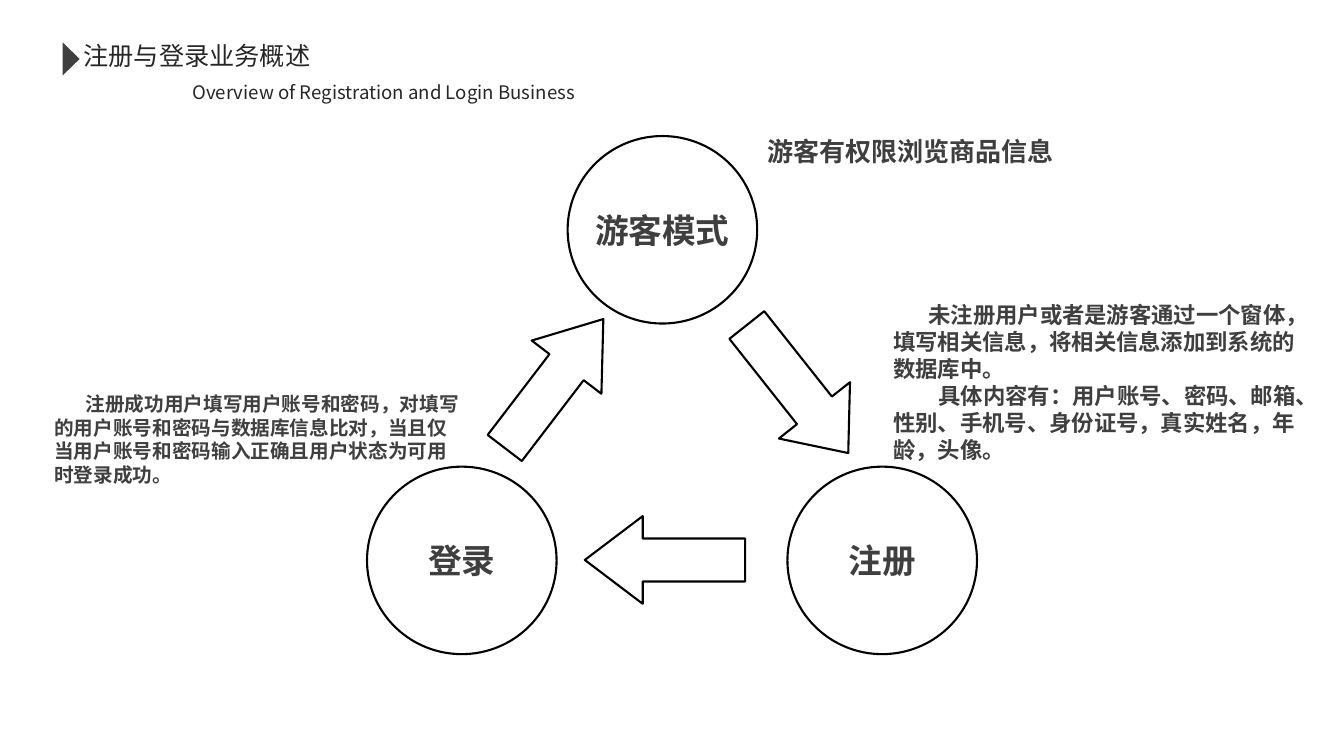
"""Build the slide on the visitor, registration and login cycle."""
from pptx import Presentation, util as u
from pptx.dml.color import RGBColor
from pptx.enum import shapes, text
from lxml import etree

PX = 9144
COLORS = {"white": "FFFFFF", "line": "000000", "body": "3F3F3F", "title": "262626"}
CJK = "Noto Sans CJK SC"


def style_text(sp, paragraphs, size, color="body", font="Arial", bold=True):
    """Fill a shape with (text, first-line indent) paragraphs."""
    tf = sp.text_frame
    for i, (words, indent) in enumerate(paragraphs):
        p = tf.paragraphs[0] if i == 0 else tf.add_paragraph()
        p.text = words
        if indent:
            p._p.get_or_add_pPr().set("indent", str(indent * PX))
        for r in p.runs:
            r.font.name = font
            r.font.size = u.Pt(size)
            r.font.bold = bold
            r.font.color.rgb = RGBColor.from_string(COLORS[color])
            rPr = r._r.get_or_add_rPr()
            ea = etree.SubElement(rPr, rPr.tag.replace("rPr", "ea"))
            ea.set("typeface", CJK)


def add_outline(kind, *box):
    """Add an unfilled shape with a black outline."""
    sp = s.shapes.add_shape(kind, *(v * PX for v in box))
    sp.shadow.inherit = False
    sp.fill.background()
    sp.line.color.rgb = RGBColor.from_string(COLORS["line"])
    sp.line.width = u.Pt(1.5)
    return sp


prs = Presentation()
prs.slide_width, prs.slide_height = 1333 * PX, 750 * PX
s = prs.slides.add_slide(prs.slide_layouts[6])
s.background.fill.solid()
s.background.fill.fore_color.rgb = RGBColor.from_string(COLORS["white"])

arrows = [
    ((469, 337, 161, 87), 307.4, 0.69),
    ((710, 341, 162, 90), 51.6, 0.6),
    ((580, 512, 159, 87), 180, 0.66),
]
for box, angle, head in arrows:
    sp = add_outline(shapes.MSO_SHAPE.RIGHT_ARROW, *box)
    sp.rotation = angle
    sp.adjustments[0], sp.adjustments[1] = 0.49, head

for label, left, top in [("游客模式", 563, 135), ("注册", 781, 463), ("登录", 364, 463)]:
    sp = add_outline(shapes.MSO_SHAPE.OVAL, left, top, 188, 186)
    style_text(sp, [(label, 0)], 24)
    tf = sp.text_frame
    tf.word_wrap = False
    tf.vertical_anchor = text.MSO_ANCHOR.MIDDLE
    tf.paragraphs[0].alignment = text.PP_ALIGN.CENTER

marker = add_outline(shapes.MSO_SHAPE.ISOSCELES_TRIANGLE, 54, 50, 33, 17)
marker.rotation = 90
marker.fill.solid()
marker.fill.fore_color.rgb = RGBColor.from_string(COLORS["body"])
marker.line.fill.background()

login = "注册成功用户填写用户账号和密码，对填写的用户账号和密码与数据库信息比对，当且仅当用户账号和密码输入正确且用户状态为可用时登录成功。"
register = [
    ("未注册用户或者是游客通过一个窗体，填写相关信息，将相关信息添加到系统的数据库中。", 35),
    ("具体内容有：用户账号、密码、邮箱、性别、手机号、身份证号，真实姓名，年龄，头像。", 45),
]
heading = ("title", CJK, False)
notes = [
    ((44, 384, 422, 128), [(login, 31)], 14, ()),
    ((751, 130, 392, 73), [("游客有权限浏览商品信息", 0)], 18.6, ()),
    ((876, 294, 422, 198), register, 16, ()),
    ((73, 35, 250, 40), [("注册与登录业务概述", 0)], 18, heading),
    ((174, 75, 491, 33), [("Overview of Registration and Login Business", 7)], 13.3, heading),
]
for box, paragraphs, size, look in notes:
    sp = s.shapes.add_textbox(*(v * PX for v in box))
    sp.text_frame.word_wrap = True
    style_text(sp, paragraphs, size, *look)

prs.save("out.pptx")
